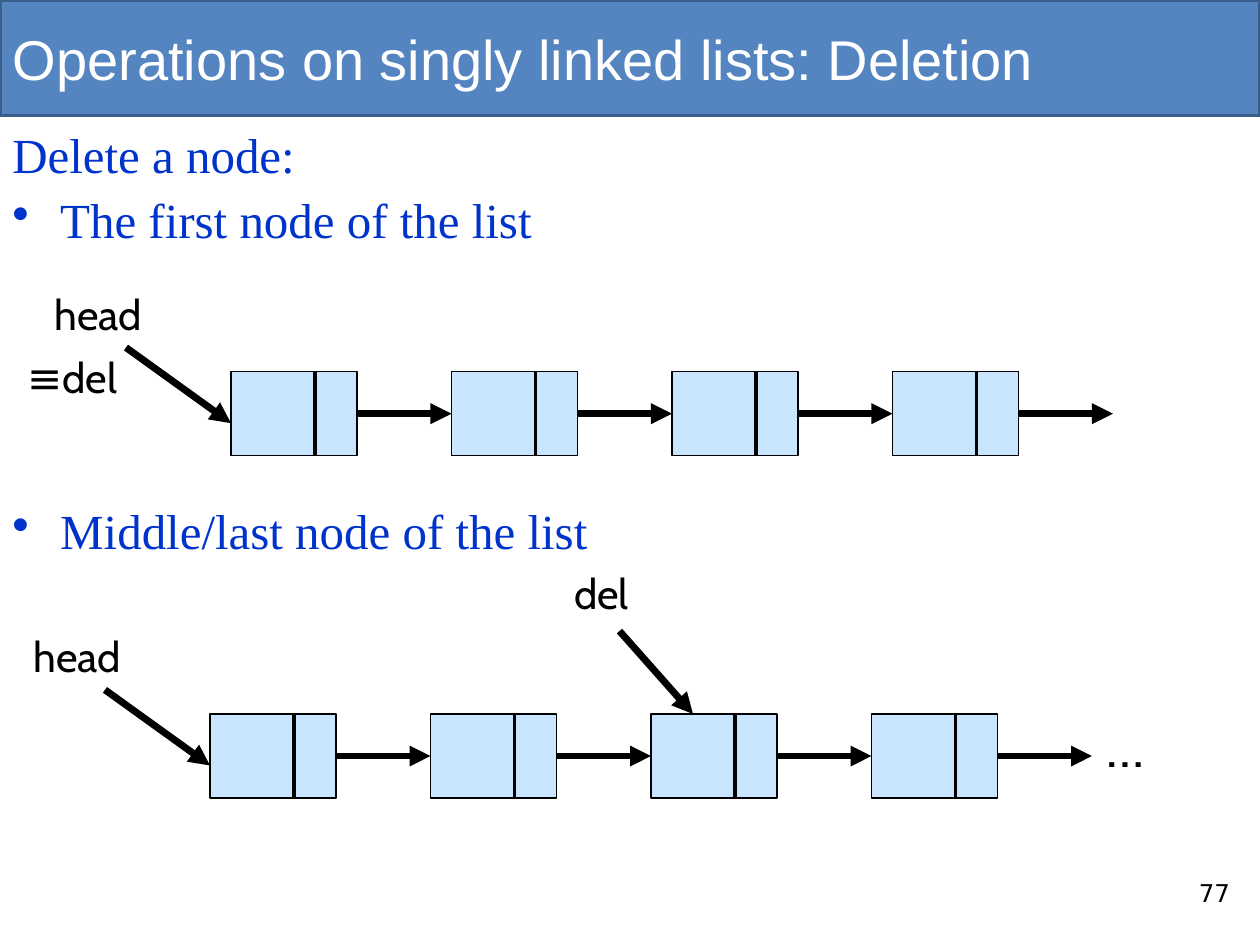
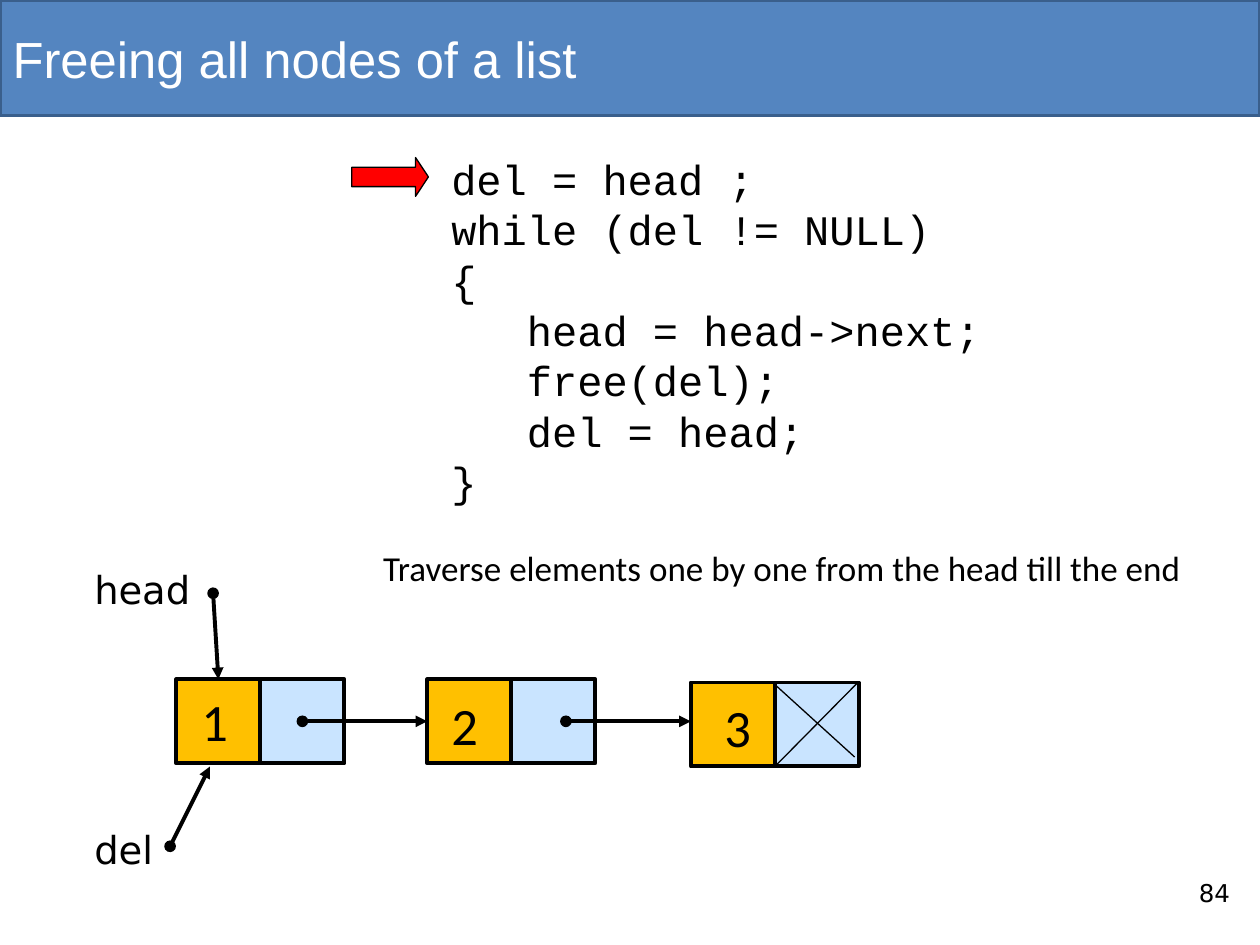
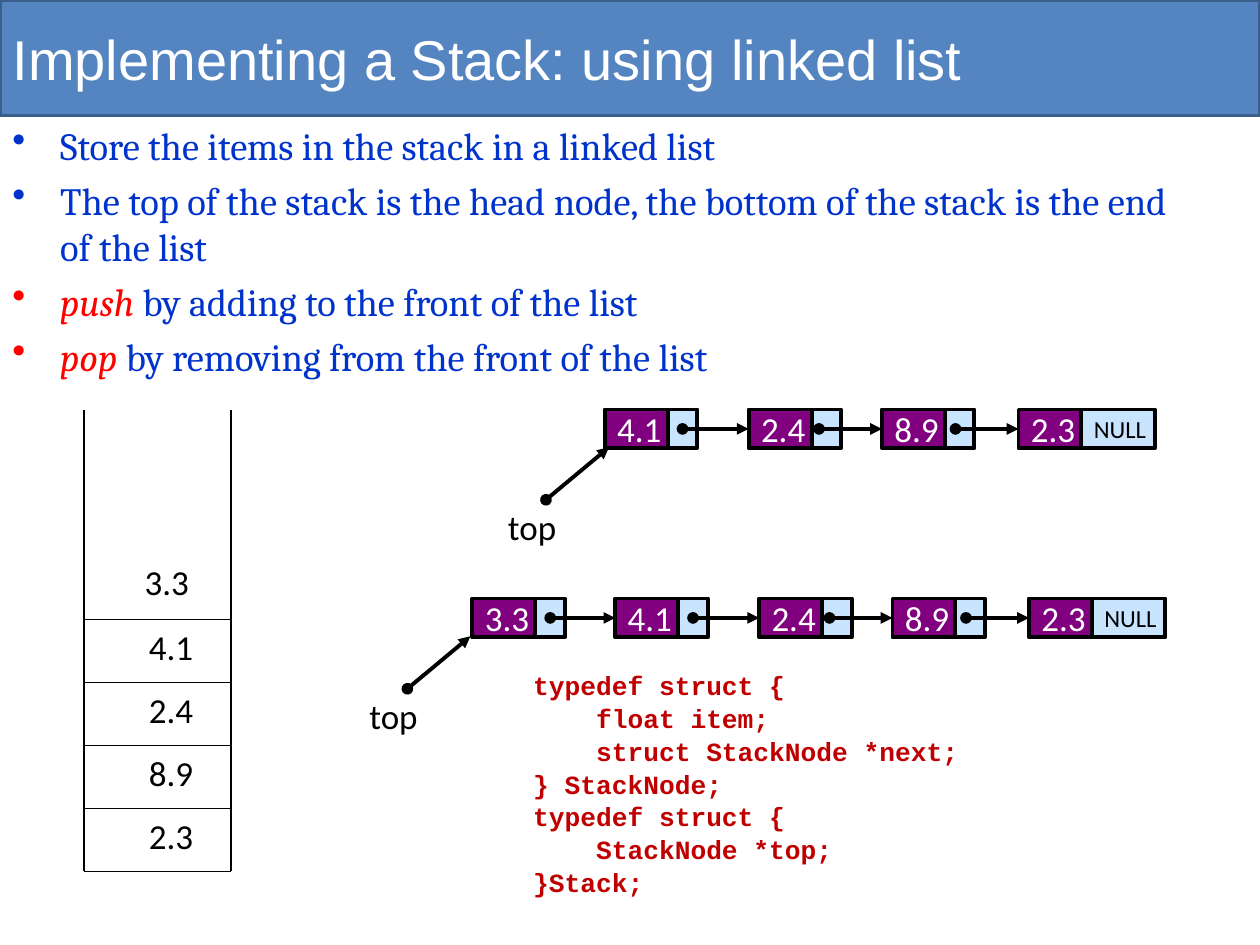
"""Builds three slides on linked lists: deletion, freeing nodes and a stack."""
from dataclasses import dataclass
from typing import Optional

from lxml import etree
from pptx import Presentation
from pptx.dml.color import RGBColor
from pptx.enum.shapes import MSO_CONNECTOR, MSO_SHAPE
from pptx.enum.text import MSO_ANCHOR, MSO_AUTO_SIZE, PP_ALIGN
from pptx.oxml.ns import qn
from pptx.shapes.autoshape import Shape
from pptx.shapes.connector import Connector
from pptx.slide import Slide
from pptx.text.text import TextFrame
from pptx.util import Emu, Inches, Pt

STRAIGHT = MSO_CONNECTOR.STRAIGHT
RECTANGLE, RIGHT_ARROW = MSO_SHAPE.RECTANGLE, MSO_SHAPE.RIGHT_ARROW
TOP, MIDDLE = MSO_ANCHOR.TOP, MSO_ANCHOR.MIDDLE
LEFT = PP_ALIGN.LEFT
NO_AUTOFIT = MSO_AUTO_SIZE.NONE
TOP_SIDE, LEFT_SIDE, RIGHT_SIDE = 0, 1, 3

WIDTH, HEIGHT = Inches(10), Inches(7.5)
COLUMNS, ROWS = 120, 90
TITLE_ONLY = 5
HANGING = Inches(0.38)
COLORS = {
    "band": "5485C0", "band edge": "3A5F8C", "white": "FFFFFF", "black": "000000",
    "body": "0033CC", "red": "FF0000", "code": "C00000",
    "link": "C9E4FF", "item": "FFC000", "stack item": "800080",
}

Point = tuple[float, float]


@dataclass(frozen=True)
class Box:
    """A place on the grid of columns and rows."""
    column: float
    row: float
    columns: float
    rows: float

    def lengths(self) -> tuple[Emu, Emu, Emu, Emu]:
        """Return left, top, width and height."""
        return across(self.column), down(self.row), across(self.columns), down(self.rows)


@dataclass(frozen=True)
class TextStyle:
    """The look of the paragraphs in one text frame."""
    font: str
    size: float
    color: str = "black"
    bold: bool = False
    line_spacing: Optional[float] = None
    space_before: float = 0


@dataclass(frozen=True)
class Line:
    """One paragraph, with an optional emphasised lead and a bullet."""
    text: str
    lead: str = ""
    bullet: bool = False


@dataclass(frozen=True)
class Label:
    """A short text and the place of its box."""
    text: str
    box: Box
    style: TextStyle


@dataclass(frozen=True)
class StackNode:
    """A stack item, its column and the column offset of its link dot."""
    value: str
    column: float
    dot: float = 0


BAND = Box(0, 0, COLUMNS, 11)
NUMBER_BOX = Box(113, 83, 6, 5)
NUMBER = TextStyle("DejaVu Sans", 14)
BODY = TextStyle("Times New Roman", 28, "body", line_spacing=0.9, space_before=7)
STACK_BODY = TextStyle("Cambria", 22, "body", space_before=5)
POINTER = TextStyle("Cabin", 24)
ELLIPSIS = TextStyle("Cabin", 32)
CODE = TextStyle("Courier New", 24)
STRUCT_CODE = TextStyle("Courier New", 15, "code", True, 0.6, 8)
NODE_VALUE = TextStyle("Calibri", 30)
NODE_POINTER = TextStyle("DejaVu Sans", 22)
NOTE = TextStyle("Calibri", 20)
STACK_VALUE = TextStyle("Calibri", 20, "white")
NULL_MARK = TextStyle("Calibri", 14)

FREE_CODE = """del = head ;
while (del != NULL)
{
   head = head->next;
   free(del);
   del = head;
}"""
STACK_CODE = """typedef struct {
    float item;
    struct StackNode *next;
} StackNode;
typedef struct {
    StackNode *top;
}Stack;"""
STACK_LINES = [
    Line("Store the items in the stack in a linked list", bullet=True),
    Line("The top of the stack is the head node, the bottom of the stack is the end of the list",
         bullet=True),
    Line(" by adding to the front of the list", "push", True),
    Line(" by removing from the front of the list", "pop", True),
]
STACK_NODES = [
    StackNode("4.1", 57.6, 7.4), StackNode("2.4", 71.3, 6.7),
    StackNode("8.9", 84, 7), StackNode("2.3", 97),
]


def across(columns: float) -> Emu:
    """Convert grid columns to a length."""
    return Emu(round(WIDTH * columns / COLUMNS))


def down(rows: float) -> Emu:
    """Convert grid rows to a length."""
    return Emu(round(HEIGHT * rows / ROWS))


def color(name: str) -> RGBColor:
    """Look up a colour."""
    return RGBColor.from_string(COLORS[name])


def set_values(target: object, values: dict) -> None:
    """Set every attribute named in the values."""
    for name, value in values.items():
        setattr(target, name, value)


def write(frame: TextFrame, lines: list[Line], style: TextStyle) -> None:
    """Fill a text frame with styled paragraphs."""
    for index, line in enumerate(lines):
        paragraph = frame.add_paragraph() if index else frame.paragraphs[0]
        set_values(paragraph, {
            "alignment": LEFT,
            "line_spacing": style.line_spacing,
            "space_before": Pt(style.space_before if index else 0),
        })
        if line.bullet:
            properties = paragraph._p.get_or_add_pPr()
            properties.set("marL", str(HANGING))
            properties.set("indent", str(-HANGING))
            etree.SubElement(properties, qn("a:buChar"), char="•")
        for text, is_lead in ((line.lead, True), (line.text, False)):
            if text:
                run = paragraph.add_run()
                run.text = text
                set_values(run.font, {
                    "name": style.font, "size": Pt(style.size),
                    "bold": style.bold, "italic": is_lead,
                })
                run.font.color.rgb = color("red" if is_lead else style.color)


def add_text(slide: Slide, box: Box, lines: list[Line], style: TextStyle) -> None:
    """Add a wrapped text box."""
    frame = slide.shapes.add_textbox(*box.lengths()).text_frame
    frame.word_wrap = True
    write(frame, lines, style)


def add_labels(slide: Slide, labels: list[Label]) -> None:
    """Add one text box for each label."""
    for label in labels:
        add_text(slide, label.box, [Line(label.text)], label.style)


def add_code(slide: Slide, box: Box, code: str, style: TextStyle) -> None:
    """Add a listing, one paragraph for each line of code."""
    add_text(slide, box, [Line(text) for text in code.splitlines()], style)


def add_block(slide: Slide, box: Box, fill: str, weight: float, edge: str = "black",
              kind: MSO_SHAPE = RECTANGLE, text: str = "",
              style: TextStyle = STACK_VALUE) -> Shape:
    """Add a filled, outlined shape, with text if there is any."""
    shape = slide.shapes.add_shape(kind, *box.lengths())
    shape.shadow.inherit = False
    shape.fill.solid()
    shape.fill.fore_color.rgb = color(fill)
    shape.line.color.rgb = color(edge)
    shape.line.width = Pt(weight)
    if text:
        set_values(shape.text_frame, {"word_wrap": False, "vertical_anchor": MIDDLE})
        write(shape.text_frame, [Line(text)], style)
    return shape


def add_line(slide: Slide, start: Point, end: Point, weight: float,
             head: str = "", tail: str = "") -> Connector:
    """Add a straight black line with optional ends."""
    connector = slide.shapes.add_connector(
        STRAIGHT, across(start[0]), down(start[1]), across(end[0]), down(end[1]))
    connector.line.color.rgb = color("black")
    connector.line.width = Pt(weight)
    properties = connector.element.spPr
    outline = properties.find(qn("a:ln"))
    for tag, kind in (("a:headEnd", head), ("a:tailEnd", tail)):
        if kind:
            etree.SubElement(outline, qn(tag), type=kind)
    etree.SubElement(properties, qn("a:effectLst"))
    return connector


def add_arrow(slide: Slide, start: Point, end: Point) -> Connector:
    """Add a thick arrow."""
    return add_line(slide, start, end, 4, tail="triangle")


def add_dotted_arrow(slide: Slide, start: Point, end: Point) -> Connector:
    """Add an arrow that starts with a dot."""
    return add_line(slide, start, end, 2.25, "oval", "triangle")


def add_slide(presentation: Presentation, title: str, size: float = 32,
              number: str = "") -> Slide:
    """Add a slide with its title and page number."""
    slide = presentation.slides.add_slide(presentation.slide_layouts[TITLE_ONLY])
    placeholder = slide.shapes.title
    set_values(placeholder, dict(zip(("left", "top", "width", "height"), BAND.lengths())))
    set_values(placeholder.text_frame, {
        "word_wrap": True, "auto_size": NO_AUTOFIT, "vertical_anchor": MIDDLE})
    write(placeholder.text_frame, [Line(title)], TextStyle("Arial", size, "white"))
    if number:
        add_labels(slide, [Label(number, NUMBER_BOX, NUMBER)])
    return slide


def add_band_to_layout(slide: Slide) -> None:
    """Place the title band in the layout that the slides share."""
    band = add_block(slide, BAND, "band", 2, "band edge")
    slide.slide_layout.shapes.element.insert(2, band.element)


def add_plain_list(slide: Slide, column: float, row: float) -> None:
    """Draw four linked nodes and the arrow from the head pointer."""
    pitch, width, height, divider = 21, 12, 8, 8
    lefts = [column + pitch * index for index in range(4)]
    nodes = [add_block(slide, Box(left, row, width, height), "link", 0.75) for left in lefts]
    for index, left in enumerate(lefts):
        middle = row + height / 2
        arrow = add_arrow(slide, (left + width, middle), (left + pitch, middle))
        arrow.begin_connect(nodes[index], RIGHT_SIDE)
        if index + 1 < len(nodes):
            arrow.end_connect(nodes[index + 1], LEFT_SIDE)
        add_line(slide, (left + divider, row), (left + divider, row + height), 2.25)
    add_arrow(slide, (column - 10, row - 2.3), (column, row + 4.9))


def add_stack_list(slide: Slide, nodes: list[StackNode], row: float) -> None:
    """Draw a stack as a linked list with its top pointer."""
    items = []
    for node in nodes:
        last = node is nodes[-1]
        items.append(add_block(slide, Box(node.column, row, 6, 3.7), "stack item", 2.25,
                               text=node.value))
        add_block(slide, Box(node.column + 6, row, 7 if last else 2.8, 3.7), "link", 2.25,
                  text="NULL" if last else "", style=NULL_MARK)
    middle = row + 1.85
    for node, following, item in zip(nodes, nodes[1:], items[1:]):
        arrow = add_dotted_arrow(slide, (node.column + node.dot, middle),
                                 (following.column, middle))
        arrow.end_connect(item, LEFT_SIDE)


def add_top_pointer(slide: Slide, column: float, row: float) -> None:
    """Draw the top pointer, rising to the right from its dot."""
    add_dotted_arrow(slide, (column, row), (column + 6, row - 5))
    add_labels(slide, [Label("top", Box(column - 4.8, row, 17, 5.3), NOTE)])


def build_deletion(presentation: Presentation) -> Slide:
    """Build the slide on deleting a node."""
    slide = add_slide(presentation, "Operations on singly linked lists: Deletion", number="77")
    add_text(slide, Box(0, 11.9, 119, 20),
             [Line("Delete a node:"), Line("The first node of the list", bullet=True)], BODY)
    add_text(slide, Box(0, 47.7, 119, 6),
             [Line("Middle/last node of the list", bullet=True)], BODY)
    add_plain_list(slide, 20, 68)
    add_plain_list(slide, 22, 35.4)
    add_arrow(slide, (59, 60.1), (66, 68))
    add_labels(slide, [
        Label("head", Box(2, 59.5, 18, 6), POINTER),
        Label("del", Box(53.5, 53.5, 18, 6), POINTER),
        Label("…", Box(104.2, 67.2, 14, 7.6), ELLIPSIS),
        Label("head", Box(4, 26.9, 18, 6), POINTER),
        Label("≡del", Box(1.4, 32.9, 18, 6), POINTER),
    ])
    return slide


def build_freeing(presentation: Presentation) -> None:
    """Build the slide on freeing all nodes."""
    slide = add_slide(presentation, "Freeing all nodes of a list", 29, "84")
    add_code(slide, Box(41.8, 14, 60, 35.2), FREE_CODE, CODE)
    items = []
    for column, row in ((16.8, 64.7), (40.7, 64.7), (65.8, 65)):
        add_block(slide, Box(column + 8, row, 8, 8), "link", 2.25)
        items.append(add_block(slide, Box(column, row, 8, 8), "item", 2.25))
    head = add_dotted_arrow(slide, (20.3, 56.5), (20.8, 64.7))
    head.end_connect(items[0], TOP_SIDE)
    link = add_dotted_arrow(slide, (28.8, 68.7), (40.7, 68.7))
    link.end_connect(items[1], LEFT_SIDE)
    add_dotted_arrow(slide, (53.9, 68.7), (65.8, 68.7))
    add_dotted_arrow(slide, (16.2, 80.6), (20, 73))
    add_line(slide, (81.7, 65), (73.8, 73), 0.75)
    add_line(slide, (73.8, 65.2), (81.4, 72.1), 0.75)
    add_labels(slide, [
        Label("1", Box(18, 65, 12, 7.3), NODE_VALUE),
        Label("2", Box(41.8, 65.4, 12, 7.3), NODE_VALUE),
        Label("3", Box(67.8, 65.6, 12, 7.3), NODE_VALUE),
        Label("head", Box(7.8, 53.3, 13, 5.6), NODE_POINTER),
        Label("del", Box(7.8, 78.1, 13, 5.6), NODE_POINTER),
        Label("Traverse elements one by one from the head till the end",
              Box(35.3, 51.5, 85, 5.3), NOTE),
    ])
    marker = add_block(slide, Box(33.5, 15, 7.3, 3.7), "red", 0.75, kind=RIGHT_ARROW)
    marker.adjustments[0], marker.adjustments[1] = 0.5, 0.33


def build_stack(presentation: Presentation) -> None:
    """Build the slide on a stack made from a linked list."""
    slide = add_slide(presentation, "Implementing a Stack: using linked list")
    add_text(slide, Box(0, 11, 114, 71), STACK_LINES, STACK_BODY)
    left, right, rim, floor, level = 8, 22, 39, 83, 6
    for column in (left, right):
        add_line(slide, (column, rim), (column, floor), 0.75)
    for index in range(5):
        row = floor - level * index
        add_line(slide, (left, row), (right, row), 0.75)
    for index, node in enumerate(reversed(STACK_NODES), start=1):
        add_labels(slide, [Label(node.value, Box(13, floor - level * index, 8, 5.3), NOTE)])
    add_labels(slide, [Label("3.3", Box(12.6, 52.8, 7.5, 5.3), NOTE)])
    pushed = [StackNode("3.3", 45, 7.4)]
    pushed += [StackNode(node.value, node.column + 1, node.dot) for node in STACK_NODES]
    add_stack_list(slide, STACK_NODES, 39)
    add_top_pointer(slide, 52, 47.6)
    add_stack_list(slide, pushed, 57)
    add_top_pointer(slide, 38.8, 65.6)
    add_code(slide, Box(49.6, 64.2, 64.4, 17.8), STACK_CODE, STRUCT_CODE)


def main() -> None:
    """Build and save the presentation."""
    presentation = Presentation()
    set_values(presentation, {"slide_width": WIDTH, "slide_height": HEIGHT})
    add_band_to_layout(build_deletion(presentation))
    build_freeing(presentation)
    build_stack(presentation)
    presentation.save("out.pptx")


if __name__ == "__main__":
    main()
